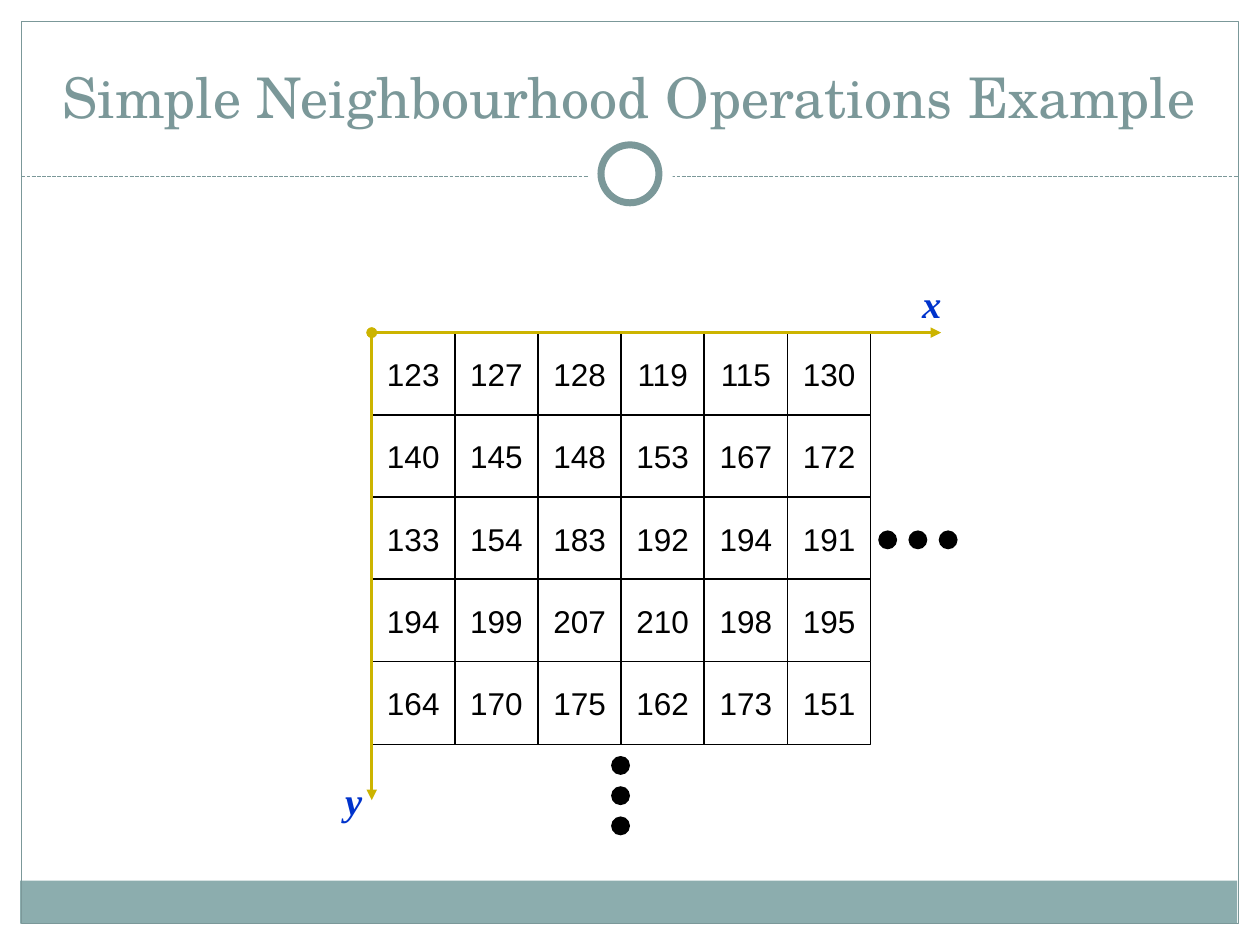
from dataclasses import dataclass

from lxml.etree import SubElement
from pptx import Presentation
from pptx.dml.color import RGBColor
from pptx.enum.dml import MSO_LINE
from pptx.enum.shapes import MSO_CONNECTOR, MSO_SHAPE
from pptx.enum.text import MSO_ANCHOR, MSO_AUTO_SIZE, PP_ALIGN
from pptx.oxml.ns import qn
from pptx.util import Inches, Pt


@dataclass(frozen=True)
class Theme:
    """Colours, fonts and type sizes of the slide."""
    white: str = "FFFFFF"
    ink: str = "000000"
    frame: str = "7B9899"
    band: str = "8CADAE"
    axis: str = "CCB400"
    label: str = "0033CC"
    title_font: str = "TeX Gyre Schola"
    cell_font: str = "Arial"
    label_font: str = "Times New Roman"
    title_size: int = 32
    cell_size: int = 18
    label_size: int = 22


class SlideBuilder:
    """Draws each kind of element on one slide in the theme's style."""

    def __init__(self, prs, theme):
        self.theme = theme
        self.s = prs.slides.add_slide(prs.slide_layouts[5])

    def style_text(self, tf, text, font, size, color, align, bold=False, italic=False):
        tf.text = text
        p = tf.paragraphs[0]
        p.alignment = align
        r = p.runs[0]
        r.font.name, r.font.size = font, Pt(size)
        r.font.bold, r.font.italic = bold, italic
        r.font.color.rgb = RGBColor.from_string(color)

    def title(self, text, x, y, w, h):
        sp = self.s.shapes.title
        sp.left, sp.top, sp.width, sp.height = map(Inches, (x, y, w, h))
        tf = sp.text_frame
        tf.vertical_anchor = MSO_ANCHOR.BOTTOM
        tf.auto_size = MSO_AUTO_SIZE.NONE
        t = self.theme
        self.style_text(tf, text, t.title_font, t.title_size, t.frame, PP_ALIGN.CENTER)

    def shape(self, kind, x, y, w, h, fill=None, line=None, width=1):
        sp = self.s.shapes.add_shape(kind, *map(Inches, (x, y, w, h)))
        sp.shadow.inherit = False
        if fill:
            sp.fill.solid()
            sp.fill.fore_color.rgb = RGBColor.from_string(fill)
        else:
            sp.fill.background()
        if line:
            sp.line.color.rgb = RGBColor.from_string(line)
            sp.line.width = Pt(width)
        else:
            sp.line.fill.background()
        return sp

    def cell(self, value, x, y, size):
        t = self.theme
        sp = self.shape(MSO_SHAPE.RECTANGLE, x, y, size, size, t.white, t.ink)
        tf = sp.text_frame
        tf.word_wrap = False
        tf.vertical_anchor = MSO_ANCHOR.MIDDLE
        self.style_text(tf, str(value), t.cell_font, t.cell_size, t.ink, PP_ALIGN.CENTER)

    def line(self, x1, y1, x2, y2, color, width):
        c = self.s.shapes.add_connector(MSO_CONNECTOR.STRAIGHT, *map(Inches, (x1, y1, x2, y2)))
        c.line.color.rgb = RGBColor.from_string(color)
        c.line.width = Pt(width)
        SubElement(c._element.spPr, qn("a:effectLst"))
        return c

    def axis(self, x1, y1, x2, y2):
        ln = self.line(x1, y1, x2, y2, self.theme.axis, 2).line._get_or_add_ln()
        SubElement(ln, qn("a:headEnd"), type="oval")
        SubElement(ln, qn("a:tailEnd"), type="triangle")

    def label(self, text, x, y, w, h):
        tf = self.s.shapes.add_textbox(*map(Inches, (x, y, w, h))).text_frame
        tf.word_wrap = False
        tf.auto_size = MSO_AUTO_SIZE.SHAPE_TO_FIT_TEXT
        t = self.theme
        self.style_text(tf, text, t.label_font, t.label_size, t.label, PP_ALIGN.LEFT, True, True)

    def dots(self, x, y, dx, dy):
        for i in range(3):
            self.shape(MSO_SHAPE.OVAL, x + i * dx, y + i * dy, 0.15, 0.15, self.theme.ink)


PIXELS = [
    [123, 127, 128, 119, 115, 130],
    [140, 145, 148, 153, 167, 172],
    [133, 154, 183, 192, 194, 191],
    [194, 199, 207, 210, 198, 195],
    [164, 170, 175, 162, 173, 151],
]


def main():
    prs = Presentation()
    prs.slide_width, prs.slide_height = Inches(10), Inches(7.5)
    t = Theme()
    b = SlideBuilder(prs, t)

    b.shape(MSO_SHAPE.RECTANGLE, 0.16, 6.99, 9.66, 0.34, t.band)
    b.shape(MSO_SHAPE.RECTANGLE, 0.17, 0.17, 9.66, 7.16, line=t.frame, width=0.75)
    b.line(0.17, 1.4, 9.83, 1.4, t.frame, 0.75).line.dash_style = MSO_LINE.SQUARE_DOT
    b.shape(MSO_SHAPE.OVAL, 4.67, 1.05, 0.67, 0.67, t.white)
    b.shape(MSO_SHAPE.OVAL, 4.77, 1.15, 0.46, 0.46, t.white, t.frame, 4)
    b.title("Simple Neighbourhood Operations Example", 0.33, 0.25, 9.33, 0.83)

    left, top, size = 2.95, 2.64, 0.66
    row_step = (5.25 - top) / (len(PIXELS) - 1)
    for i, row in enumerate(PIXELS):
        for j, value in enumerate(row):
            b.cell(value, left + j * size, top + i * row_step, size)

    b.axis(left, top, 7.47, top)
    b.axis(left, top, left, 6.35)
    b.label("x", 7.22, 2.17, 0.35, 0.47)
    b.label("y", 2.64, 6.12, 0.33, 0.47)
    gap = 0.24
    b.dots(6.97, 4.21, gap, 0)
    b.dots(4.85, 6, 0, gap)

    prs.save("out.pptx")


if __name__ == "__main__":
    main()
